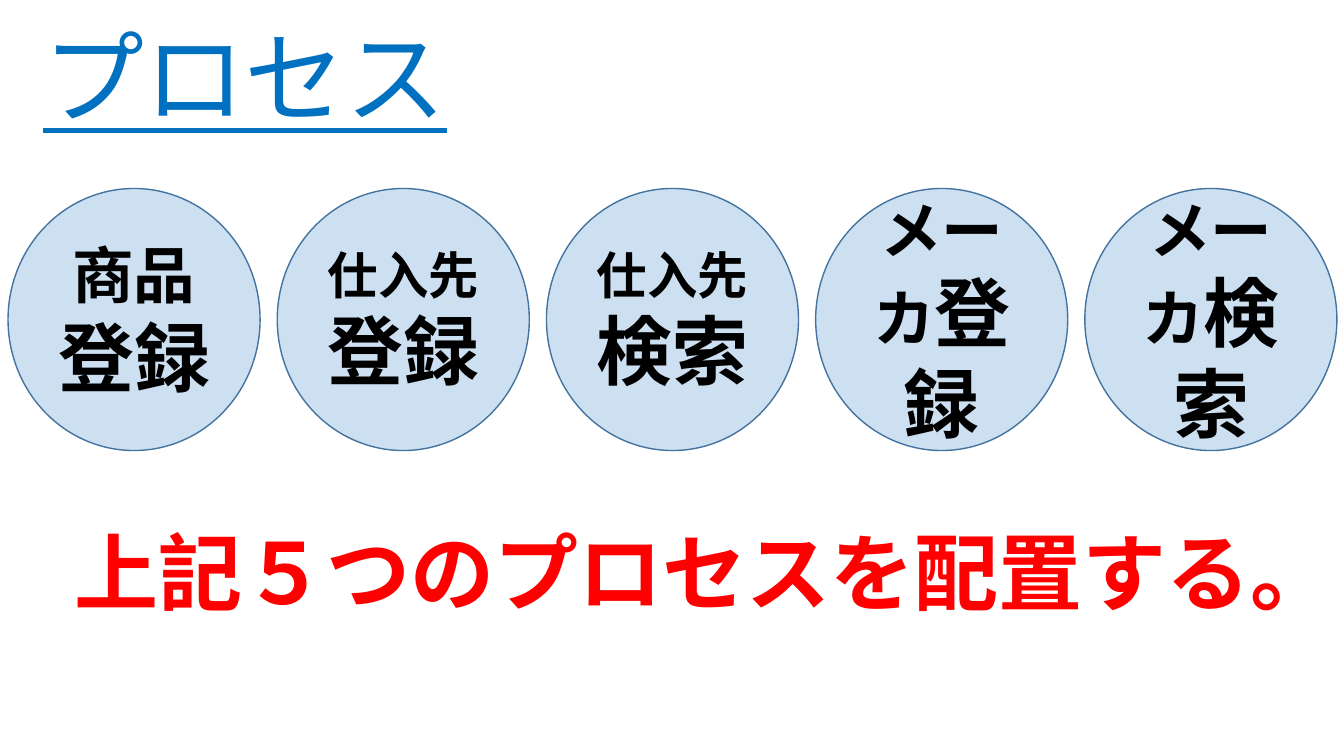
import pptx
import pptx.util
import pptx.dml.color
import pptx.enum.shapes
import pptx.enum.text
from lxml import etree
from pptx.util import Inches

RGBColor = pptx.dml.color.RGBColor
Anchor = pptx.enum.text.MSO_ANCHOR
Align = pptx.enum.text.PP_ALIGN

TITLE_BLUE = RGBColor(0x00, 0x70, 0xC0)
NOTE_RED = RGBColor(0xFF, 0x00, 0x00)
CIRCLE_FILL = RGBColor(0x5B, 0x9B, 0xD5)
CIRCLE_LINE = RGBColor(0x43, 0x73, 0x9E)
BLACK = RGBColor(0x00, 0x00, 0x00)
FONT = "Calibri"

# Each process is a list of paragraphs, each a list of (text, size) runs
PROCESSES = [
    [[("商品", 44), ("登録", 54)]],
    [[("仕入先", 36)], [("登録", 54)]],
    [[("仕入先", 36)], [("検索", 54)]],
    [[("メーカ", 44), ("登録", 54)]],
    [[("メーカ", 44), ("検索", 54)]],
]
CIRCLE_LEFT, CIRCLE_TOP, CIRCLE_PITCH = 0.08, 1.87, 2.67
CIRCLE_WIDTH, CIRCLE_HEIGHT = 2.5, 2.6


def add_run(paragraph, text, size, color, bold=False, underline=False):
    run = paragraph.add_run()
    run.text = text
    run.font.name = FONT
    run.font.size = pptx.util.Pt(size)
    run.font.color.rgb = color
    run.font.bold = bold
    run.font.underline = underline


def set_opacity(fill, percent):
    color = fill._xPr.find(".//" + pptx.oxml.ns.qn("a:srgbClr"))
    alpha = etree.SubElement(color, pptx.oxml.ns.qn("a:alpha"))
    alpha.set("val", str(percent * 1000))


def add_title(slide, text):
    title = slide.shapes.title
    title.left, title.top = Inches(0.33), Inches(0.33)
    title.width, title.height = Inches(10), Inches(1.08)
    frame = title.text_frame
    frame.auto_size = pptx.enum.text.MSO_AUTO_SIZE.NONE
    frame.vertical_anchor = Anchor.BOTTOM
    heading = frame.paragraphs[0]
    heading.alignment = Align.LEFT
    heading.line_spacing = 0.9
    add_run(heading, text, 72, TITLE_BLUE, underline=True)


def add_process(slide, left, lines):
    circle = slide.shapes.add_shape(
        pptx.enum.shapes.MSO_SHAPE.OVAL, Inches(left), Inches(CIRCLE_TOP),
        Inches(CIRCLE_WIDTH), Inches(CIRCLE_HEIGHT))
    circle.shadow.inherit = False
    circle.fill.solid()
    circle.fill.fore_color.rgb = CIRCLE_FILL
    set_opacity(circle.fill, 30)
    circle.line.color.rgb = CIRCLE_LINE
    circle.line.width = pptx.util.Pt(1)
    frame = circle.text_frame
    frame.word_wrap = True
    frame.vertical_anchor = Anchor.MIDDLE
    for index, line in enumerate(lines):
        paragraph = frame.add_paragraph() if index else frame.paragraphs[0]
        paragraph.alignment = Align.CENTER
        for text, size in line:
            add_run(paragraph, text, size, BLACK, bold=True)


def add_note(slide, text):
    note = slide.shapes.add_textbox(
        Inches(0.64), Inches(5.23), Inches(12.63), Inches(1.09))
    note.text_frame.word_wrap = True
    sentence = note.text_frame.paragraphs[0]
    sentence.line_spacing = 0.9
    add_run(sentence, text, 60, NOTE_RED, bold=True)


def main():
    deck = pptx.Presentation()
    deck.slide_width, deck.slide_height = Inches(13.33), Inches(7.5)
    slide = deck.slides.add_slide(deck.slide_layouts.get_by_name("Title Only"))

    # Heading and instruction
    add_title(slide, "プロセス")
    add_note(slide, "上記５つのプロセスを配置する。")

    # Row of process circles
    for index, lines in enumerate(PROCESSES):
        add_process(slide, CIRCLE_LEFT + index * CIRCLE_PITCH, lines)

    deck.save("out.pptx")


if __name__ == "__main__":
    main()
